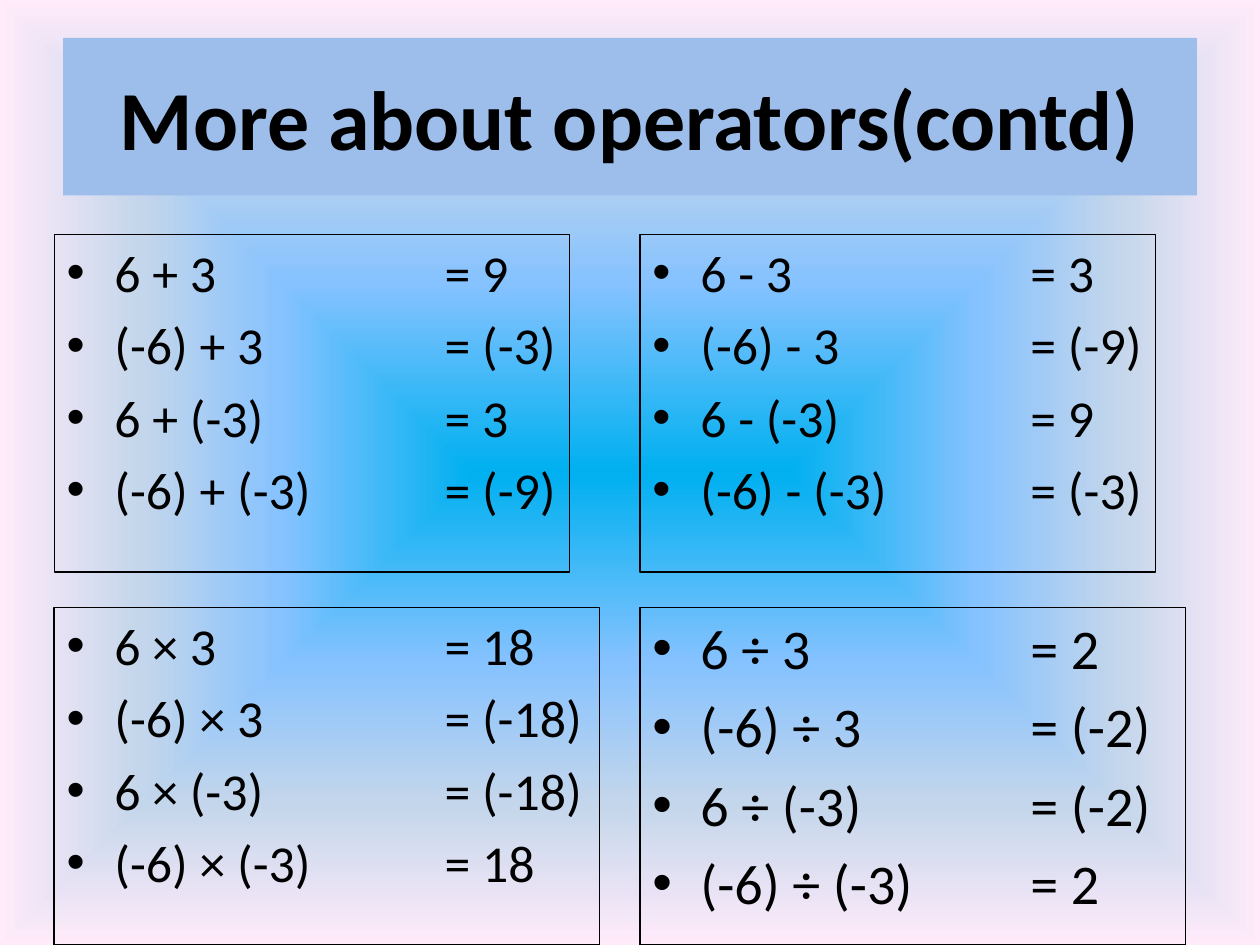
from pptx import Presentation
from pptx.dml.color import RGBColor
from pptx.enum.text import MSO_ANCHOR, PP_ALIGN
from pptx.oxml import parse_xml
from pptx.oxml.ns import nsdecls
from pptx.util import Inches, Pt

CENTER = PP_ALIGN.CENTER
MIDDLE = MSO_ANCHOR.MIDDLE
FONT = "Calibri"
BLACK = "000000"

TITLE = "More about operators(contd)"
BACKGROUND_STOPS = [(0, "00B0F0"), (40, "85C2FF"), (70, "C4D6EB"), (100, "FFEBFA")]
COLUMN_LEFTS = [0.43, 5.08]
ROW_TOPS = [1.86, 4.82]
ROW_WIDTHS = [4.09, 4.33]
BOX_HEIGHT = 2.68
INDENT = 0.38
TAB_SIZE = 1
PANELS = [
    (29.6, ["6 + 3 \t\t= 9", "(-6) + 3 \t\t= (-3)",
            "6 + (-3) \t\t= 3", "(-6) + (-3) \t= (-9)"]),
    (29.6, ["6 - 3 \t\t= 3", "(-6) - 3 \t\t= (-9)",
            "6 - (-3) \t\t= 9", "(-6) - (-3) \t\t= (-3)"]),
    (29.6, ["6 × 3 \t\t= 18", "(-6) × 3 \t\t= (-18)",
            "6 × (-3) \t\t= (-18)", "(-6) × (-3) \t= 18"]),
    (32, ["6 ÷ 3 \t\t= 2", "(-6) ÷ 3 \t\t= (-2)",
          "6 ÷ (-3) \t\t= (-2)", "(-6) ÷ (-3) \t= 2"]),
]


def color(value):
    return RGBColor.from_string(value)


def add_run(paragraph, text, size, bold=False):
    run = paragraph.add_run()
    run.text = text
    run.font.name = FONT
    run.font.size = Pt(size)
    run.font.bold = bold
    run.font.color.rgb = color(BLACK)


def set_background(slide):
    slide.background.fill.solid()
    properties = slide.element.xpath("./p:cSld/p:bg/p:bgPr")[0]
    stops = "".join(
        f'<a:gs pos="{position * 1000}"><a:srgbClr val="{value}"/></a:gs>'
        for position, value in BACKGROUND_STOPS)
    properties.replace(properties[0], parse_xml(
        f'<a:gradFill {nsdecls("a")} rotWithShape="1"><a:gsLst>{stops}</a:gsLst>'
        '<a:path path="shape"><a:fillToRect l="50000" t="50000" r="50000" b="50000"/>'
        '</a:path></a:gradFill>'))


def add_title(slide):
    title = slide.shapes.title
    title.left, title.top = Inches(0.5), Inches(0.3)
    title.width, title.height = Inches(9), Inches(1.25)
    title.fill.solid()
    title.fill.fore_color.rgb = color("9DBDEB")
    title.text_frame.vertical_anchor = MIDDLE
    paragraph = title.text_frame.paragraphs[0]
    paragraph.alignment = CENTER
    add_run(paragraph, TITLE, 48, bold=True)


def add_bullet(paragraph):
    properties = paragraph._p.get_or_add_pPr()
    properties.set("marL", str(Inches(INDENT)))
    properties.set("indent", str(-Inches(INDENT)))
    properties.set("defTabSz", str(Inches(TAB_SIZE)))
    properties.append(parse_xml(f'<a:buFont {nsdecls("a")} typeface="Arial"/>'))
    properties.append(parse_xml(f'<a:buChar {nsdecls("a")} char="•"/>'))


def add_panel(slide, left, top, width, size, equations):
    box = slide.shapes.add_textbox(
        Inches(left), Inches(top), Inches(width), Inches(BOX_HEIGHT))
    box.line.color.rgb = color(BLACK)
    box.line.width = Pt(0.75)
    frame = box.text_frame
    frame.word_wrap = True
    for index, equation in enumerate(equations):
        paragraph = frame.add_paragraph() if index else frame.paragraphs[0]
        add_bullet(paragraph)
        if index:
            paragraph.space_before = Pt(round(size * 0.2, 1))
        add_run(paragraph, equation, size)


def main():
    presentation = Presentation()
    presentation.slide_width, presentation.slide_height = Inches(10), Inches(7.5)
    slide = presentation.slides.add_slide(presentation.slide_layouts[5])
    set_background(slide)
    add_title(slide)
    for index, (size, equations) in enumerate(PANELS):
        row, column = divmod(index, 2)
        add_panel(slide, COLUMN_LEFTS[column], ROW_TOPS[row], ROW_WIDTHS[row],
                  size, equations)
    presentation.save("out.pptx")


if __name__ == "__main__":
    main()
